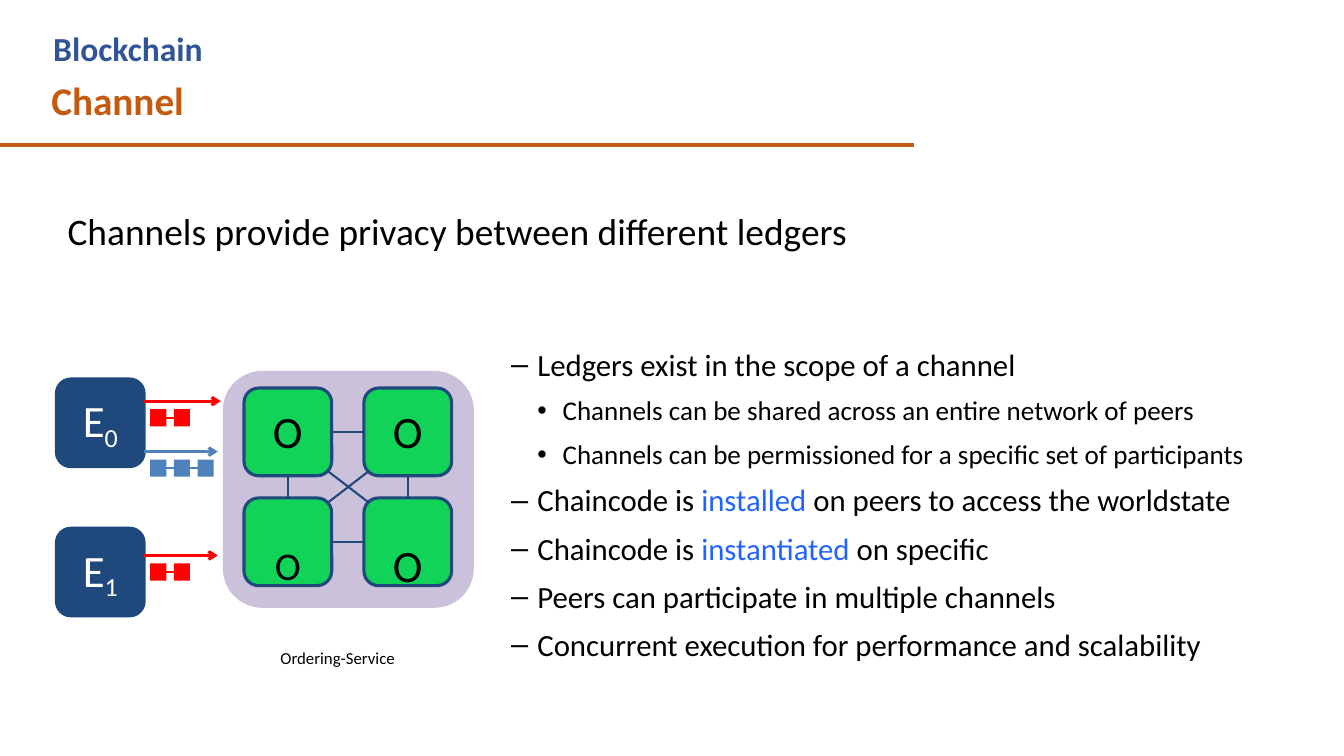
from lxml.etree import SubElement
from pptx import Presentation
from pptx.dml.color import RGBColor
from pptx.enum.shapes import MSO_CONNECTOR, MSO_SHAPE
from pptx.enum.text import MSO_ANCHOR, MSO_AUTO_SIZE, PP_ALIGN
from pptx.oxml.ns import qn
from pptx.util import Inches, Pt

FONT = "Calibri"
BLACK = RGBColor(0x00, 0x00, 0x00)
WHITE = RGBColor(0xFF, 0xFF, 0xFF)
ORANGE = RGBColor(0xC5, 0x5A, 0x11)
HEADING_BLUE = RGBColor(0x2F, 0x55, 0x97)
HIGHLIGHT = RGBColor(0x21, 0x63, 0xFF)
NAVY = RGBColor(0x1F, 0x49, 0x7D)
RED = RGBColor(0xFF, 0x00, 0x00)
BLUE = RGBColor(0x4F, 0x81, 0xBD)
GREEN = RGBColor(0x11, 0xD3, 0x58)
LILAC = RGBColor(0xCC, 0xC1, 0xDA)

LEFT, BOTTOM, RIGHT, TOP = 1, 2, 3, 0
NODE_SIZE = 0.87
PEER_LEFT = 0.56
BLOCK_LEFT, BLOCK_WIDTH, BLOCK_HEIGHT, BLOCK_STEP = 1.49, 0.16, 0.17, 0.235

# Level and text parts; a part in HIGHLIGHT is a (text, colour) pair.
BULLETS = [
    (0, [("Ledgers exist in the scope of a channel", BLACK)]),
    (1, [("Channels can be shared across an entire network of peers", BLACK)]),
    (1, [("Channels can be permissioned for a specific set of participants", BLACK)]),
    (0, [("Chaincode is ", BLACK), ("installed", HIGHLIGHT),
         (" on peers to access the worldstate", BLACK)]),
    (0, [("Chaincode is ", BLACK), ("instantiated", HIGHLIGHT), (" on specific", BLACK)]),
    (0, [("Peers can participate in multiple channels", BLACK)]),
    (0, [("Concurrent execution for performance and scalability", BLACK)]),
]
# Bullet character, left margin, hanging indent and text size of each level
LEVELS = [("–", 0.28, -0.26, 22), ("•", 0.53, -0.25, 19.3)]


def set_attributes(target, values):
    for name, value in values.items():
        setattr(target, name, value)


def format_frame(frame, left=0, top=0, anchor=MSO_ANCHOR.TOP):
    set_attributes(frame, {
        "word_wrap": True, "auto_size": MSO_AUTO_SIZE.NONE, "vertical_anchor": anchor,
        "margin_left": Inches(left), "margin_right": 0,
        "margin_top": Inches(top), "margin_bottom": 0,
    })


def add_run(paragraph, text, size, color, bold=False):
    run = paragraph.add_run()
    run.text = text
    set_attributes(run.font, {"name": FONT, "size": Pt(size), "bold": bold})
    run.font.color.rgb = color
    return run


def place(shape, left, top, width, height):
    set_attributes(shape, {"left": Inches(left), "top": Inches(top),
                           "width": Inches(width), "height": Inches(height)})


def add_text(slide, text, box, size, color, bold=False, left=0, top=0):
    shape = slide.shapes.add_textbox(*map(Inches, box))
    format_frame(shape.text_frame, left, top)
    add_run(shape.text_frame.paragraphs[0], text, size, color, bold)


def add_label(slide, text, center_x, center_y, size, color, width=NODE_SIZE, subscript=""):
    """Add text centred on a point."""
    height = 0.56
    shape = slide.shapes.add_textbox(
        Inches(center_x - width / 2), Inches(center_y - height / 2),
        Inches(width), Inches(height))
    format_frame(shape.text_frame, anchor=MSO_ANCHOR.MIDDLE)
    paragraph = shape.text_frame.paragraphs[0]
    paragraph.alignment = PP_ALIGN.CENTER
    add_run(paragraph, text, size, color)
    if subscript:
        run = add_run(paragraph, subscript, size, color)
        run.font._element.set("baseline", "-21000")


def add_box(slide, kind, left, top, width, height, fill, outline=None):
    shape = slide.shapes.add_shape(kind, *map(Inches, (left, top, width, height)))
    shape.shadow.inherit = False
    shape.fill.solid()
    shape.fill.fore_color.rgb = fill
    if outline is None:
        shape.line.fill.background()
    else:
        shape.line.color.rgb = outline
        shape.line.width = Pt(2.25)
    return shape


def add_node(slide, left, top, fill):
    return add_box(slide, MSO_SHAPE.ROUNDED_RECTANGLE, left, top,
                   NODE_SIZE, NODE_SIZE, fill, NAVY)


def add_line(slide, start, end, color, width):
    line = slide.shapes.add_connector(
        MSO_CONNECTOR.STRAIGHT, *map(Inches, (*start, *end)))
    line.line.color.rgb = color
    line.line.width = Pt(width)
    SubElement(line._element.spPr, qn("a:effectLst"))
    return line


def join(slide, first, first_side, second, second_side, color, width=1.5):
    line = add_line(slide, (0, 0), (0, 0), color, width)
    line.begin_connect(first, first_side)
    line.end_connect(second, second_side)


def add_arrow(slide, y, end_x, color):
    arrow = add_line(slide, (PEER_LEFT + NODE_SIZE, y), (end_x, y), color, 2.1)
    SubElement(arrow.line._get_or_add_ln(), qn("a:tailEnd"), type="arrow", w="med", len="med")


def add_blocks(slide, count, top, color):
    """Add a chain of linked blocks."""
    blocks = [add_box(slide, MSO_SHAPE.RECTANGLE, BLOCK_LEFT + index * BLOCK_STEP, top,
                      BLOCK_WIDTH, BLOCK_HEIGHT, color) for index in range(count)]
    for first, second in zip(blocks, blocks[1:]):
        join(slide, first, RIGHT, second, LEFT, color)


def add_bullets(shape):
    frame = shape.text_frame
    format_frame(frame, top=0.15)
    for index, (level, parts) in enumerate(BULLETS):
        paragraph = frame.paragraphs[0] if index == 0 else frame.add_paragraph()
        character, margin, indent, size = LEVELS[level]
        properties = paragraph._p.get_or_add_pPr()
        properties.set("marL", str(Inches(margin)))
        properties.set("indent", str(Inches(indent)))
        SubElement(properties, qn("a:buChar"), char=character)
        set_attributes(paragraph, {"level": level, "line_spacing": 1.0,
                                   "space_before": Pt(8 if index else 0)})
        for text, color in parts:
            add_run(paragraph, text, size, color)


def add_heading(slide):
    title = slide.shapes.title
    place(title, 0.41, 0.71, 8.75, 0.57)
    format_frame(title.text_frame, left=0.1, top=0.05)
    paragraph = title.text_frame.paragraphs[0]
    paragraph.alignment = PP_ALIGN.LEFT
    add_run(paragraph, "Channel", 28, ORANGE, bold=True)
    add_line(slide, (0, 1.44), (9.07, 1.44), ORANGE, 3)
    add_text(slide, "Blockchain", (0.43, 0.23, 8.2, 0.5), 24, HEADING_BLUE,
             bold=True, left=0.1, top=0.05)
    add_text(slide, "Channels provide privacy between different ledgers",
             (0.65, 2.04, 8, 0.47), 26.7, BLACK, left=0.02, top=0.02)


def add_peers(slide):
    for number, top in enumerate((3.76, 5.24)):
        add_node(slide, PEER_LEFT, top, NAVY)
        add_label(slide, "E", PEER_LEFT + NODE_SIZE / 2, top + NODE_SIZE / 2,
                  32, WHITE, subscript=str(number))
    for y, end_x, count, color in ((3.98, 2.19, 2, RED), (4.48, 2.16, 3, BLUE),
                                   (5.51, 2.16, 2, RED)):
        add_arrow(slide, y, end_x, color)
        add_blocks(slide, count, y + 0.08, color)


def add_ordering_service(slide):
    add_box(slide, MSO_SHAPE.ROUNDED_RECTANGLE, 2.21, 3.68, 2.49, 2.35, LILAC)
    orderers = []
    for top, label_y, sizes in ((3.85, 4.27, (32, 32)), (4.94, 5.6, (28, 32))):
        for left, size in zip((2.42, 3.61), sizes):
            orderers.append(add_node(slide, left, top, GREEN))
            add_label(slide, "O", left + NODE_SIZE / 2, label_y, size, BLACK)
    top_left, top_right, bottom_left, bottom_right = orderers
    for first, first_side, second, second_side in (
            (top_left, RIGHT, top_right, LEFT), (bottom_left, RIGHT, bottom_right, LEFT),
            (top_left, BOTTOM, bottom_left, TOP), (top_right, BOTTOM, bottom_right, TOP)):
        join(slide, first, first_side, second, second_side, NAVY)
    for start_y, end_y in ((4.68, 4.98), (4.98, 4.68)):
        add_line(slide, (3.26, start_y), (3.65, end_y), NAVY, 1.5)
    add_label(slide, "Ordering-Service", 3.35, 6.53, 12, BLACK, width=1.4)


def main():
    presentation = Presentation()
    presentation.slide_width = Inches(13.33)
    presentation.slide_height = Inches(7.5)
    slide = presentation.slides.add_slide(presentation.slide_layouts[1])
    add_heading(slide)
    body = slide.placeholders[1]
    place(body, 5.05, 3.28, 7.6, 3.32)
    add_bullets(body)
    add_peers(slide)
    add_ordering_service(slide)
    presentation.save("out.pptx")


if __name__ == "__main__":
    main()
